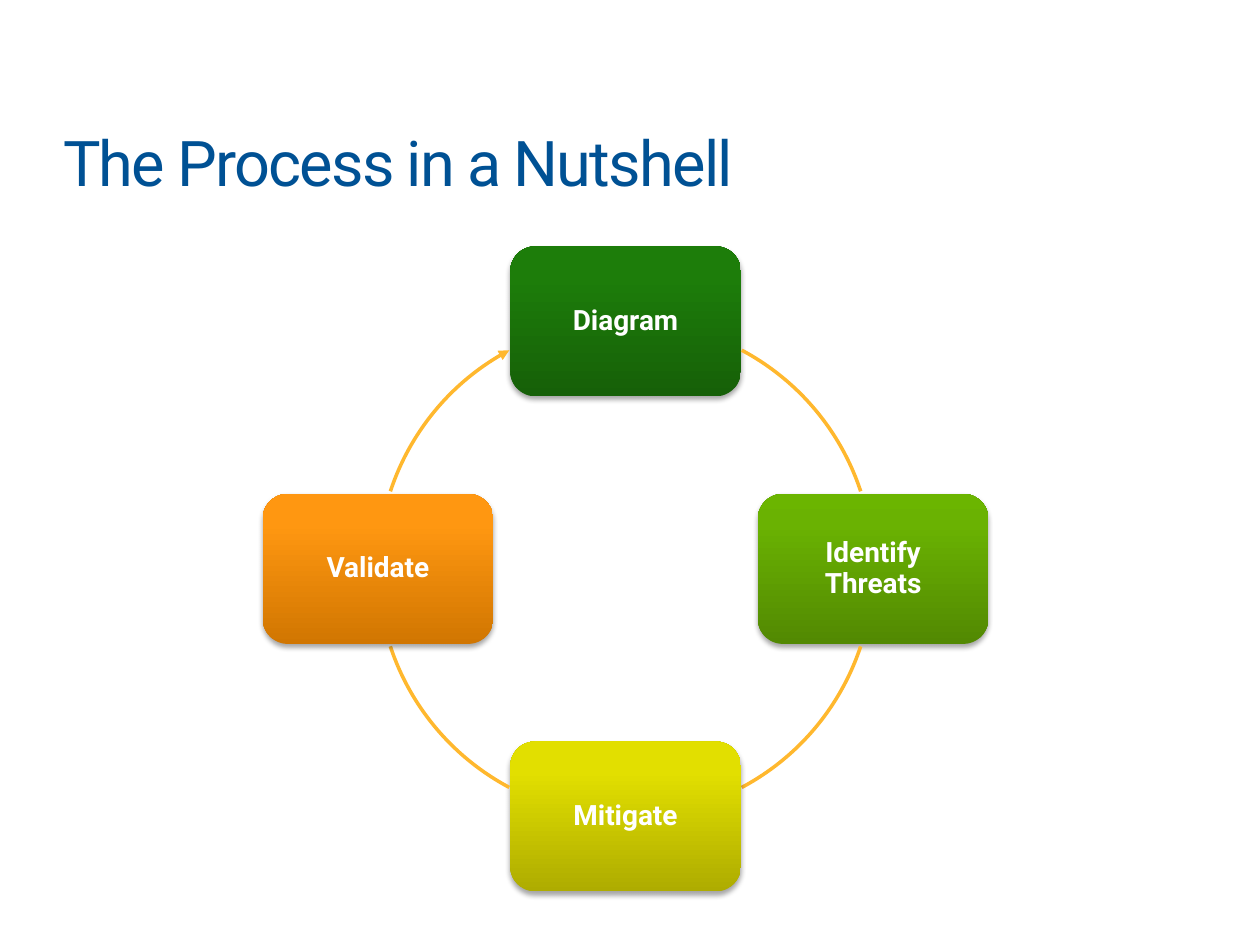
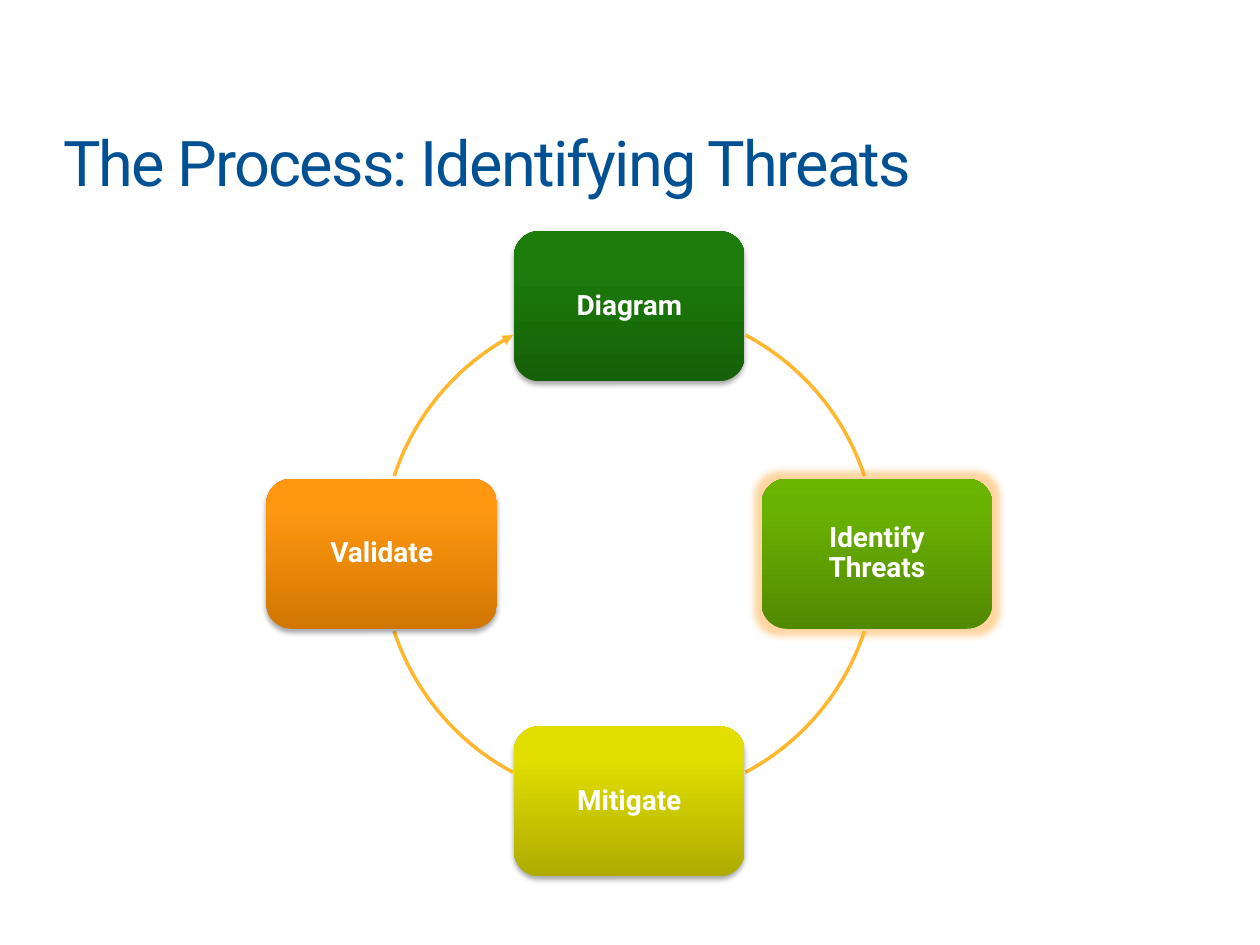
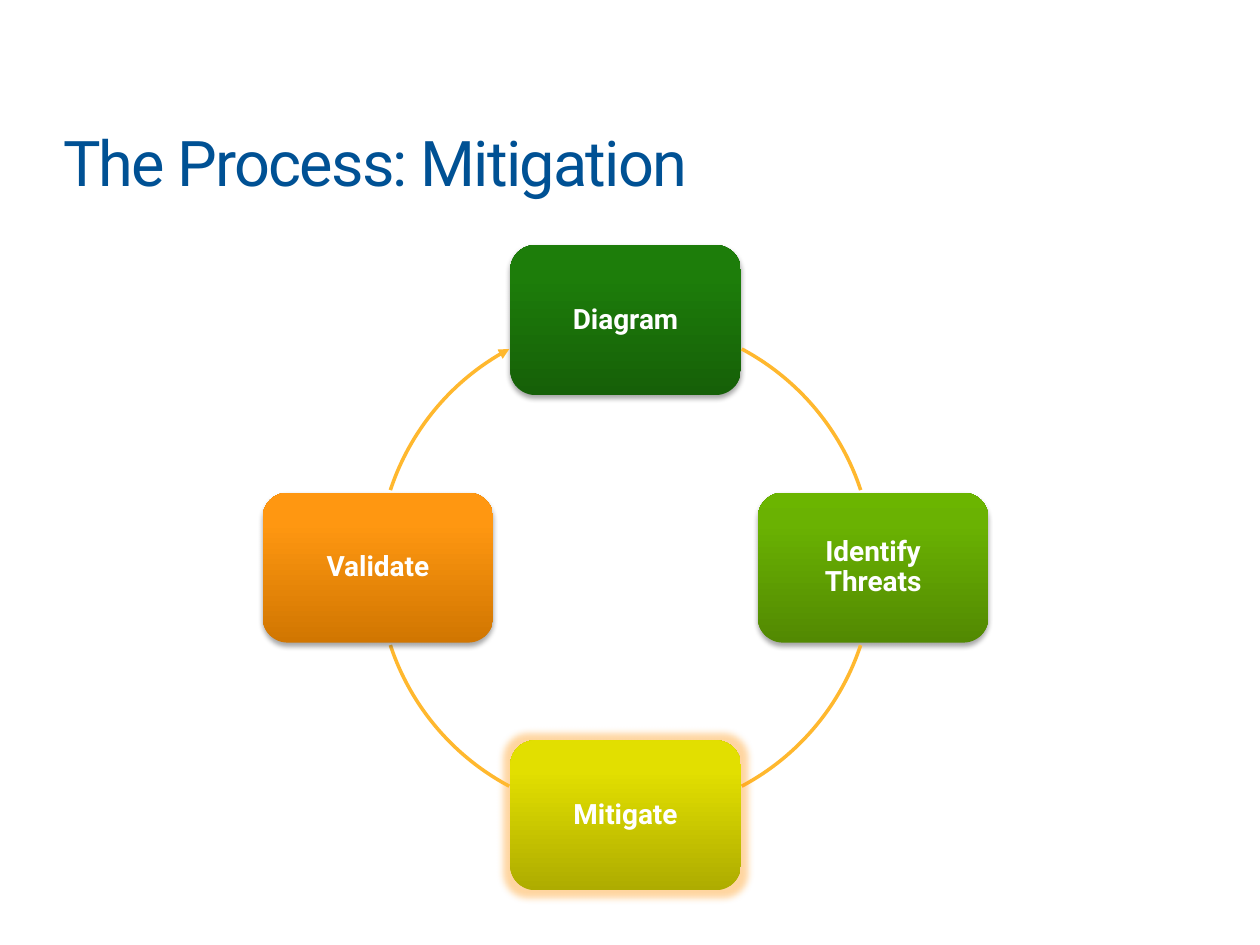
from copy import deepcopy

from lxml.etree import SubElement
from pptx import Presentation
from pptx.dml.color import RGBColor
from pptx.enum.shapes import MSO_SHAPE as Preset
from pptx.enum.text import MSO_ANCHOR as Anchor, MSO_AUTO_SIZE as AutoSize, PP_ALIGN as Align
from pptx.oxml.ns import qn
from pptx.util import Inches, Pt

COLORS = {
    "title": "005194",
    "label": "FFFFFF",
    "arc": "FFB82E",
    "shadow": "000000",
    "glow": "FF9813",
}
STEPS = [
    ("Diagram", 0, -1, ("166008", "1D7D0A", "1C7F08")),
    ("Identify Threats", 1, 0, ("528902", "6AB202", "6BB500")),
    ("Mitigate", 0, 1, ("AEAC00", "E2DF00", "E3E100")),
    ("Validate", -1, 0, ("D17601", "FF9711", "FF9813")),
]
ARCS = [(298, 341.75), (18.25, 62), (118, 161.75), (198.25, 242)]
SLIDES = [
    ("The Process in a Nutshell", 3, 2.55, None),
    ("The Process: Identifying Threats", 3.03, 2.43, "Identify Threats"),
    ("The Process: Mitigation", 3, 2.54, "Mitigate"),
]
RING = 3.93
STEP_WIDTH, STEP_HEIGHT = 1.83, 1.19


def write(frame, text, size, color, bold=False, align=Align.LEFT, anchor=Anchor.TOP,
          margin=0, line_spacing=1.0, tracking=0):
    frame.word_wrap = True
    frame.vertical_anchor = anchor
    frame.margin_left = frame.margin_right = Inches(margin)
    frame.margin_top = frame.margin_bottom = Inches(margin)
    paragraph = frame.paragraphs[0]
    paragraph.alignment = align
    paragraph.line_spacing = line_spacing
    run = paragraph.add_run()
    run.text = text
    run.font.name = "Roboto"
    run.font.size = Pt(size)
    run.font.bold = bold
    run.font.color.rgb = RGBColor.from_string(COLORS[color])
    if tracking:
        run.font._element.set("spc", str(tracking * 100))


class ProcessDeck:
    def __init__(self):
        self.deck = Presentation()
        self.deck.slide_width, self.deck.slide_height = Inches(10), Inches(7.5)
        self.slide = None

    def start(self, heading):
        self.slide = self.deck.slides.add_slide(self.deck.slide_layouts[5])
        title = self.slide.shapes.title
        title.left, title.top = Inches(0.5), Inches(0.98)
        title.width, title.height = Inches(9.01), Inches(0.61)
        write(title.text_frame, heading, size=36, color="title", tracking=-1)
        title.text_frame.auto_size = AutoSize.SHAPE_TO_FIT_TEXT

    def shape(self, preset, left, top, width, height):
        shape = self.slide.shapes.add_shape(
            preset, Inches(left), Inches(top), Inches(width), Inches(height))
        shape.shadow.inherit = False
        return shape

    def effect(self, shape, kind, color, opacity, **settings):
        effects = shape._element.spPr.find(qn("a:effectLst"))
        effect = SubElement(effects, qn(f"a:{kind}"),
                            {name: str(value) for name, value in settings.items()})
        tint = SubElement(effect, qn("a:srgbClr"), val=COLORS[color])
        SubElement(tint, qn("a:alpha"), val=str(opacity * 1000))

    def gradient(self, shape, tones):
        shape.fill.gradient()
        shape.fill.gradient_angle = 90
        stops = shape._element.spPr.find(qn("a:gradFill")).find(qn("a:gsLst"))
        stops.append(deepcopy(stops[0]))
        for stop, position, tone in zip(shape.fill.gradient_stops, (0, 0.8, 1), tones):
            stop.position = position
            stop.color.rgb = RGBColor.from_string(tone)

    def step(self, label, center_x, center_y, tones, glowing):
        step = self.shape(Preset.ROUNDED_RECTANGLE, center_x - STEP_WIDTH / 2,
                          center_y - STEP_HEIGHT / 2, STEP_WIDTH, STEP_HEIGHT)
        self.gradient(step, tones)
        step.line.fill.background()
        if glowing:
            self.effect(step, "glow", "glow", 40, rad=Pt(8))
        else:
            self.effect(step, "outerShdw", "shadow", 35, blurRad=Pt(3.1), dist=Pt(1.8),
                        dir=5400000, rotWithShape=0)
        write(step.text_frame, label, size=16, color="label", bold=True, align=Align.CENTER,
              anchor=Anchor.MIDDLE, margin=0.1, line_spacing=0.9)

    def arc(self, left, top, start, end, arrow):
        arc = self.shape(Preset.ARC, left, top, RING, RING)
        arc.adjustments[0], arc.adjustments[1] = start * 0.6, end * 0.6
        arc.fill.background()
        arc.line.color.rgb = RGBColor.from_string(COLORS["arc"])
        arc.line.width = Pt(2)
        if arrow:
            SubElement(arc.line._get_or_add_ln(), qn("a:tailEnd"), type="triangle")

    def cycle(self, left, top, highlight):
        radius = RING / 2
        for (label, across, down, tones), (start, end) in zip(STEPS, ARCS):
            self.step(label, left + radius * (1 + across), top + radius * (1 + down),
                      tones, glowing=label == highlight)
            self.arc(left, top, start, end, arrow=label == "Validate")


def main():
    process = ProcessDeck()
    for heading, left, top, highlight in SLIDES:
        process.start(heading)
        process.cycle(left, top, highlight)
    process.deck.save("out.pptx")


if __name__ == "__main__":
    main()
